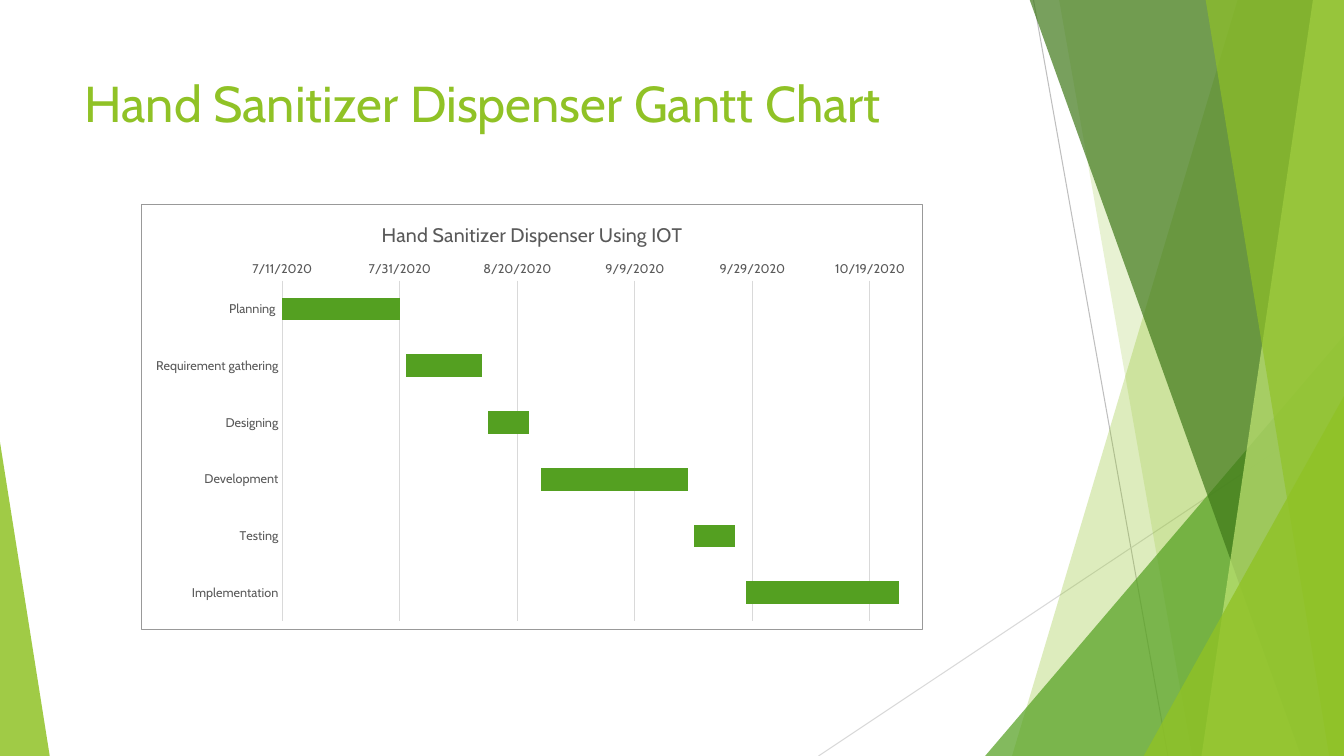
"""Build the Gantt chart slide for the hand sanitizer dispenser project."""
from lxml import etree
from pptx import Presentation
from pptx import util as u
from pptx.chart.data import CategoryChartData
from pptx.dml.color import RGBColor
from pptx.enum import chart as ch, shapes, text
from pptx.oxml import parse_xml
from pptx.oxml.ns import nsdecls, qn

COLORS = {
    "lime": "90C226", "green": "54A021", "forest": "3F7819", "pale": "C0E474",
    "rule": "BFBFBF", "grid": "D9D9D9", "label": "595959", "border": "999999",
}
FONT = "Cabin"

prs = Presentation()
prs.slide_width, prs.slide_height = u.Inches(13.333), u.Inches(7.5)
col, row = prs.slide_width / 100, prs.slide_height / 100
s = prs.slides.add_slide(prs.slide_layouts[5])


def cells(x, y, w, h):
    """Turn columns and rows of a 100 by 100 grid into lengths."""
    return round(x * col), round(y * row), round(w * col), round(h * row)


def style(font, size, color):
    """Set typeface, size and colour."""
    font.name, font.size, font.bold = FONT, u.Pt(size), False
    font.color.rgb = RGBColor.from_string(COLORS[color])


for x1, y1, x2, y2, color in [(76.9, 0, 86.9, 100, "rule"), (100, 53.7, 60.9, 100, "grid")]:
    cn = s.shapes.add_connector(shapes.MSO_CONNECTOR.STRAIGHT, *cells(x1, y1, x2, y2))
    cn.line.color.rgb = RGBColor.from_string(COLORS[color])
    cn.line.width = u.Pt(0.75)
    etree.SubElement(cn._element.spPr, qn("a:effectLst"))

facets = [
    ("band", (92.1, 75.3), "lime", 30),
    ("band", (78.8, 88.7), "lime", 20),
    ("triangle", (73.3, 44.4, 26.7, 1), "green", 72),
    ("band", (76.6, 96.8), "forest", 70),
    ("band", (97.7, 89.4), "pale", 70),
    ("band", (89.7, 98.9), "lime", 65),
    ("triangle", (85.1, 52.4, 14.9, 1), "lime", 80),
    ("triangle", (0, 58.5, 3.7, 0), "lime", 85),
]
for kind, geometry, color, opacity in facets:
    if kind == "band":
        top, bottom = geometry
        fb = s.shapes.build_freeform(round(top * col), round(-0.1 * row))
        fb.add_line_segments([cells(x, y, 0, 0)[:2] for x, y in
                              [(100, -0.1), (100, 100), (bottom, 100)]])
        sp = fb.convert_to_shape()
    else:
        x, y, w, apex = geometry
        sp = s.shapes.add_shape(shapes.MSO_SHAPE.ISOSCELES_TRIANGLE, *cells(x, y, w, 100 - y))
        sp.adjustments[0] = apex
    sp.shadow.inherit = False
    sp.line.fill.background()
    sp.fill.solid()
    sp.fill.fore_color.rgb = RGBColor.from_string(COLORS[color])
    rgb = sp._element.spPr.find(qn("a:solidFill"))[0]
    etree.SubElement(rgb, qn("a:alpha"), val=str(opacity * 1000))

title = s.shapes.title
title.left, title.top, title.width, title.height = cells(5.55, 8.9, 70.5, 19.2)
tf = title.text_frame
tf.word_wrap = True
tf.vertical_anchor = text.MSO_ANCHOR.TOP
p = tf.paragraphs[0]
p.alignment = text.PP_ALIGN.LEFT
r = p.add_run()
r.text = "Hand Sanitizer Dispenser Gantt Chart"
style(r.font, 36, "lime")

tasks = [
    ("Planning ", 44023, 20), ("Requirement gathering", 44044, 13),
    ("Designing", 44058, 7), ("Development", 44067, 25),
    ("Testing", 44093, 7), ("Implementation", 44102, 26),
]
names, starts, days = zip(*tasks)
data = CategoryChartData()
data.categories = names
data.add_series("Series 1", starts)
data.add_series("Series 2", days)
chart = s.shapes.add_chart(ch.XL_CHART_TYPE.BAR_STACKED,
                           *cells(10.5, 26.95, 58.2, 56.4), data).chart
style(chart.font, 10, "label")
chart.has_legend = False
chart.has_title = True
p = chart.chart_title.text_frame.paragraphs[0]
r = p.add_run()
r.text = "Hand Sanitizer Dispenser Using IOT"
style(r.font, 14, "label")
chart.chart_title.include_in_layout = False

plot = chart.plots[0]
plot.gap_width, plot.overlap = 150, 100
plot.vary_by_categories = False
offset, bars = plot.series
offset.format.fill.background()
offset.format.line.fill.background()
bars.format.fill.solid()
bars.format.fill.fore_color.rgb = RGBColor.from_string(COLORS["green"])

cat, val = chart.category_axis, chart.value_axis
for axis in (cat, val):
    axis.major_tick_mark = axis.minor_tick_mark = ch.XL_TICK_MARK.NONE
    style(axis.tick_labels.font, 9, "label")
cat.reverse_order = True
val.minimum_scale, val.maximum_scale, val.major_unit = 44023, 44128, 20
val.tick_labels.number_format = "m/d/yyyy"
val.tick_labels.number_format_is_linked = False
val.has_major_gridlines = True
val.format.line.fill.background()
for line in (cat.format.line, val.major_gridlines.format.line):
    line.color.rgb = RGBColor.from_string(COLORS["grid"])
    line.width = u.Pt(0.75)

area = chart._chartSpace.chart.plotArea
for old in area.findall(qn("c:layout")):
    area.remove(old)
area.insert(0, parse_xml(
    f'<c:layout {nsdecls("c")}><c:manualLayout><c:layoutTarget val="inner"/>'
    '<c:xMode val="edge"/><c:yMode val="edge"/><c:x val="0.18"/><c:y val="0.18"/>'
    '<c:w val="0.79"/><c:h val="0.8"/></c:manualLayout></c:layout>'))
chart._chartSpace.chart.addnext(parse_xml(
    f'<c:spPr {nsdecls("c", "a")}><a:noFill/><a:ln w="9525"><a:solidFill>'
    f'<a:srgbClr val="{COLORS["border"]}"/></a:solidFill></a:ln></c:spPr>'))

prs.save("out.pptx")
